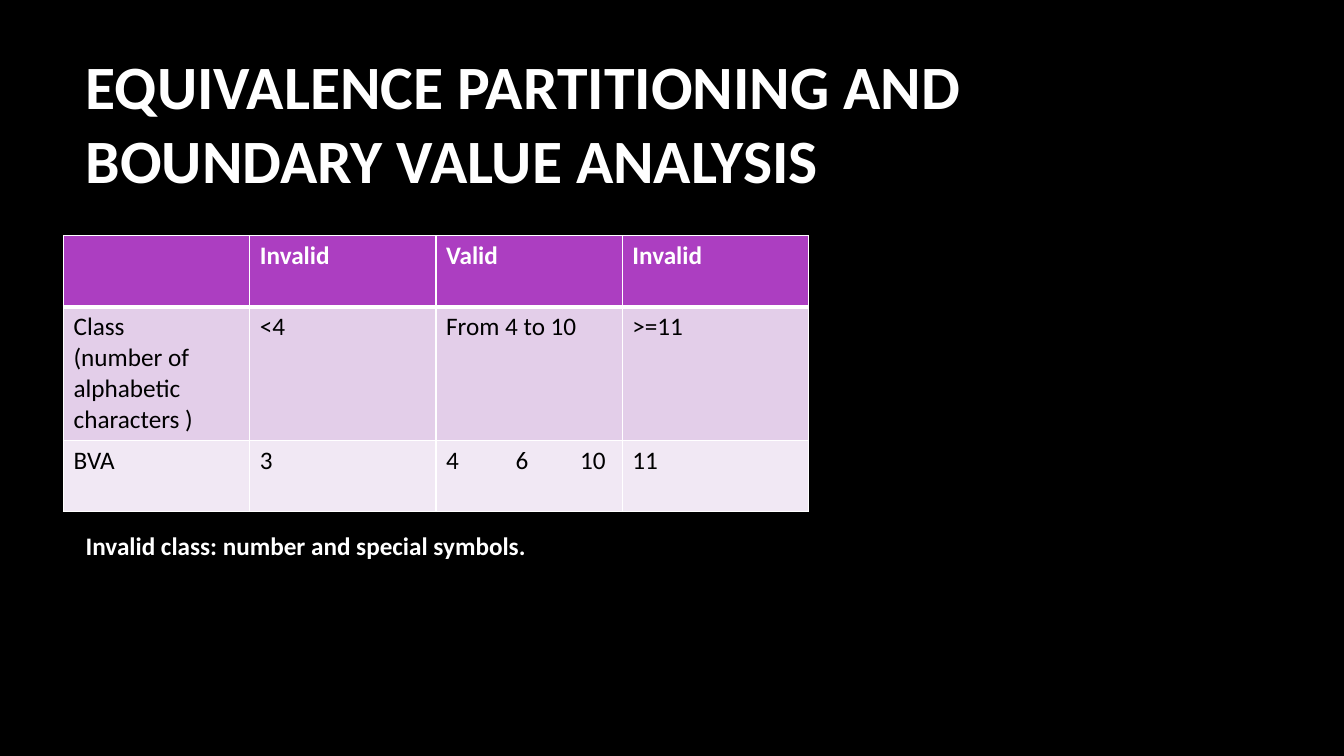
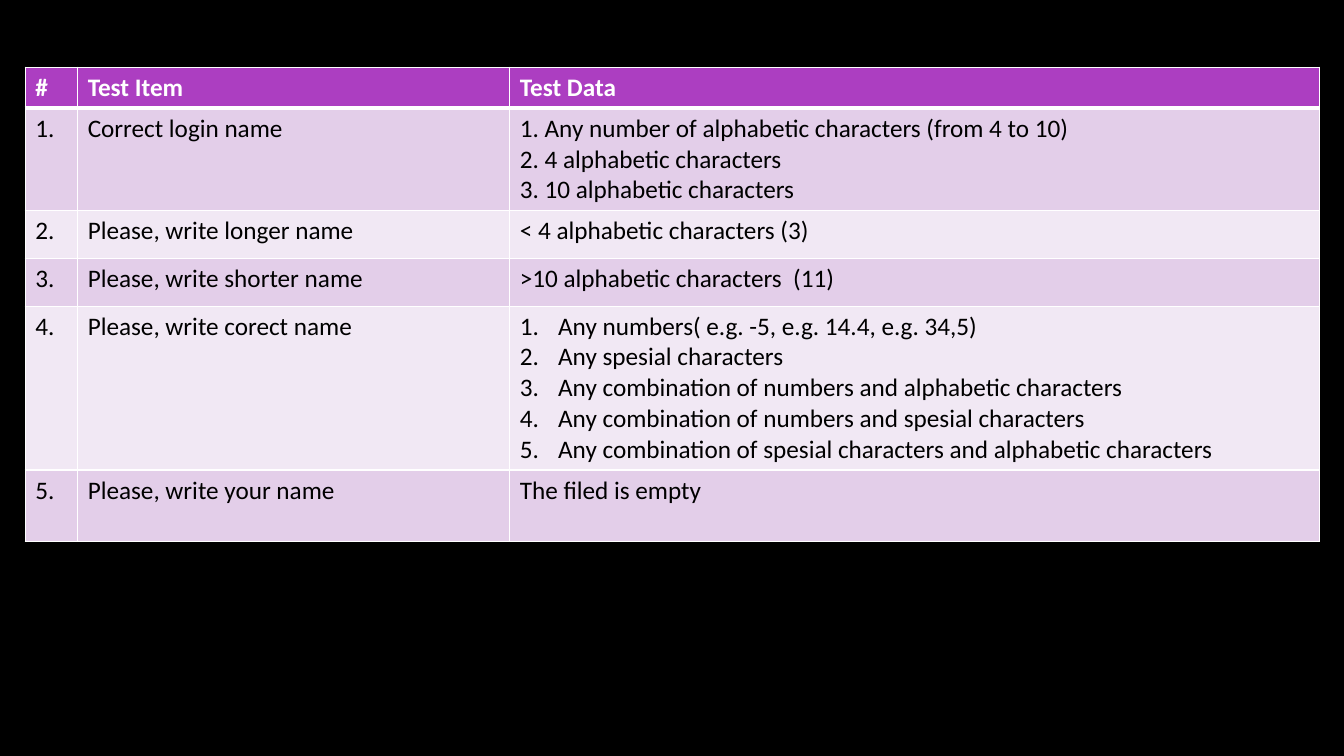
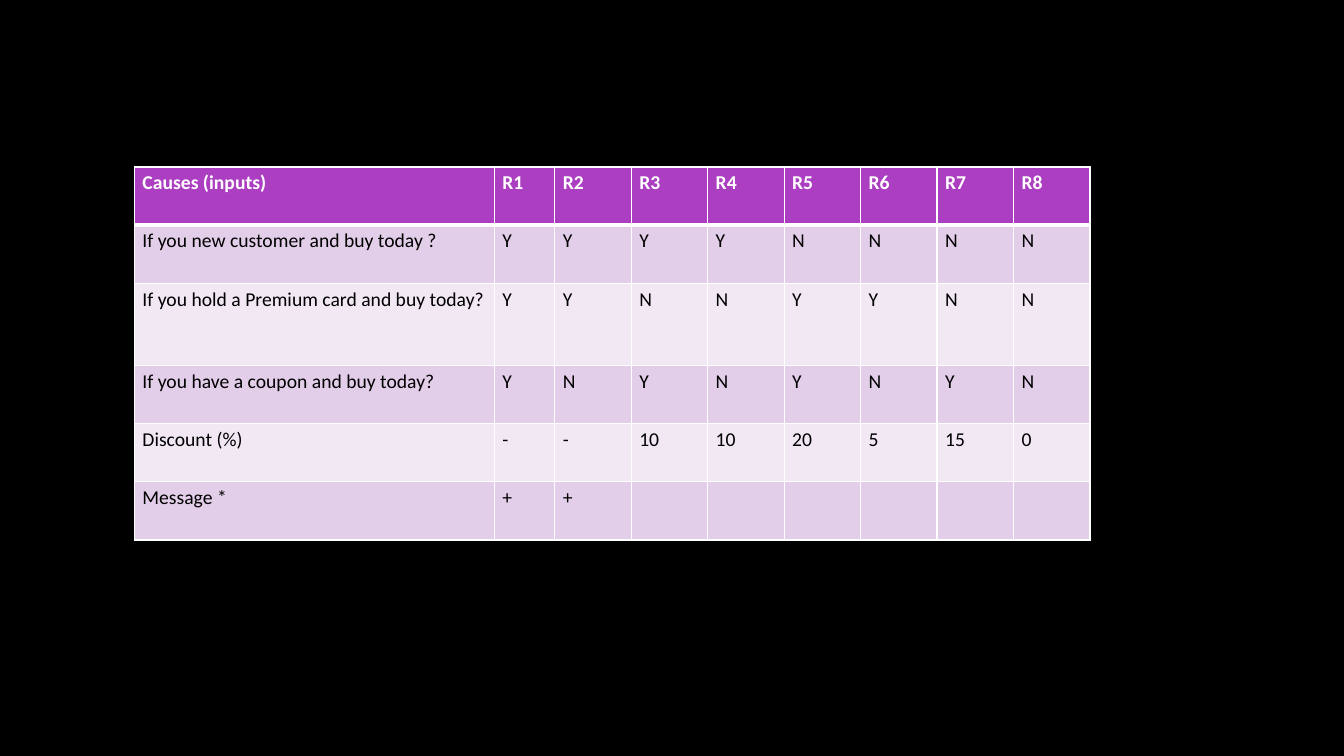
from dataclasses import dataclass

from lxml.etree import SubElement
from pptx import Presentation as new_presentation
from pptx.dml.color import RGBColor as Color
from pptx.enum.text import MSO_ANCHOR as Anchor, MSO_AUTO_SIZE as AutoSize, PP_ALIGN as Align
from pptx.oxml.ns import qn
from pptx.slide import Slide
from pptx.util import Emu, Inches, Pt


@dataclass(frozen=True)
class Theme:
    font: str = "Calibri"
    background: str = "000000"
    light: str = "FFFFFF"
    dark: str = "000000"
    header: str = "AC3EC1"
    bands: tuple[str, str] = ("E3CEE9", "F1E8F4")
    title_size: int = 44
    text_size: int = 18
    compact_size: int = 14
    rule: int = 1
    header_rule: int = 3


@dataclass(frozen=True)
class Numbered:
    """Automatically numbered cell lines; indent in inches."""
    items: tuple[str, ...]
    indent: float = 0.38


@dataclass(frozen=True)
class Tabbed:
    """Values spread over one cell line; stops in inches."""
    items: tuple[str, ...]
    stops: tuple[float, ...]


Content = str | Numbered | Tabbed


@dataclass(frozen=True)
class TableSpec:
    """Place, columns and rows are percentages of the slide's size."""
    left: float
    top: float
    columns: tuple[float, ...]
    rows: tuple[float, ...]
    cells: tuple[tuple[Content, ...], ...]
    size: int
    inset: tuple[float, float] = (0.1, 0.05)


THEME = Theme()
WIDTH, HEIGHT = Inches(13.33), Inches(7.5)
TITLE_LAYOUT, BLANK_LAYOUT = 5, 6

PARTITIONS = TableSpec(
    left=4.73, top=31.2, columns=(13.86,) * 4, rows=(9.4, 17.66, 9.4), size=THEME.text_size,
    cells=(
        ("", "Invalid", "Valid", "Invalid"),
        ("Class\n(number of alphabetic characters )", "<4", "From 4 to 10", ">=11"),
        ("BVA", "3", Tabbed(("4", "6", "10"), (0.69, 1.33)), "11"),
    ),
)

TEST_ITEMS = TableSpec(
    left=1.88, top=8.9, columns=(3.9, 32.15, 60.22),
    rows=(5.42, 13.49, 6.35, 6.35, 21.69, 9.5), size=THEME.text_size,
    cells=(
        ("#", "Test Item", "Test Data"),
        ("1.", "Correct login name",
         "1. Any number of alphabetic characters (from 4 to 10)\n"
         "2. 4 alphabetic characters\n3. 10 alphabetic characters"),
        ("2.", "Please, write longer name", "< 4 alphabetic characters (3)"),
        ("3.", "Please, write shorter name", ">10 alphabetic characters  (11)"),
        ("4.", "Please, write corect name", Numbered((
            "Any numbers( e.g. -5, e.g. 14.4, e.g. 34,5)",
            "Any spesial characters",
            "Any combination of numbers and alphabetic characters",
            "Any combination of numbers and spesial characters",
            "Any combination of spesial characters and alphabetic characters",
        ))),
        ("5.", "Please, write your name", "The filed is empty"),
    ),
)

DECISIONS = TableSpec(
    left=10, top=22.1, columns=(26.78, 4.5) + (5.69,) * 7,
    rows=(7.7, 7.7, 10.85, 7.7, 7.7, 7.7), size=THEME.compact_size, inset=(0.08, 0.04),
    cells=(
        ("Causes (inputs)", *(f"R{number}" for number in range(1, 9))),
        ("If you new customer and buy today ?", *"YYYYNNNN"),
        ("If you hold a Premium card and buy today?", *"YYNNYYNN"),
        ("If you have a coupon and buy today?", *"YNYNYNYN"),
        ("Discount (%)", "-", "-", "10", "10", "20", "5", "15", "0"),
        ("Message *", "+", "+", *[""] * 6),
    ),
)


def across(percent: float) -> Emu:
    return Emu(round(WIDTH * percent / 100))


def down(percent: float) -> Emu:
    return Emu(round(HEIGHT * percent / 100))


def format_text(paragraph, size: int, color: str, bold: bool) -> None:
    values = {"name": THEME.font, "size": Pt(size), "bold": bold}
    for run in paragraph.runs:
        for name, value in values.items():
            setattr(run.font, name, value)
        run.font.color.rgb = Color.from_string(color)


def number_paragraph(paragraph, indent: float) -> None:
    properties = paragraph._p.get_or_add_pPr()
    properties.set("marL", str(Inches(indent)))
    properties.set("indent", str(-Inches(indent)))
    SubElement(properties, qn("a:buFont"), typeface="+mj-lt")
    SubElement(properties, qn("a:buAutoNum"), type="arabicPeriod")


def set_tab_stops(paragraph, stops: tuple[float, ...]) -> None:
    tabs = SubElement(paragraph._p.get_or_add_pPr(), qn("a:tabLst"))
    for stop in stops:
        SubElement(tabs, qn("a:tab"), pos=str(Inches(stop)), algn="l")


def add_borders(cell, top: int, bottom: int) -> None:
    """Cell lines come before the fill in the cell's properties."""
    properties = cell._tc.get_or_add_tcPr()
    widths = {"L": THEME.rule, "R": THEME.rule, "T": top, "B": bottom}
    for position, (side, width) in enumerate(widths.items()):
        line = SubElement(properties, qn(f"a:ln{side}"), w=str(Pt(width)))
        fill = SubElement(line, qn("a:solidFill"))
        SubElement(fill, qn("a:srgbClr"), val=THEME.light)
        properties.insert(position, line)


def fill_cell(cell, content: Content, row: int, spec: TableSpec) -> None:
    is_header = row == 0
    horizontal, vertical = map(Inches, spec.inset)
    values = {"margin_left": horizontal, "margin_right": horizontal,
              "margin_top": vertical, "margin_bottom": vertical}
    for name, value in values.items():
        setattr(cell, name, value)
    cell.fill.solid()
    cell.fill.fore_color.rgb = Color.from_string(
        THEME.header if is_header else THEME.bands[(row - 1) % 2])
    add_borders(cell,
                top=THEME.header_rule if row == 1 else THEME.rule,
                bottom=THEME.header_rule if is_header else THEME.rule)

    match content:
        case Numbered(items=items):
            cell.text = "\n".join(items)
        case Tabbed(items=items):
            cell.text = "\t".join(items)
        case _:
            cell.text = content
    for paragraph in cell.text_frame.paragraphs:
        format_text(paragraph, spec.size, THEME.light if is_header else THEME.dark, is_header)
        if isinstance(content, Numbered):
            number_paragraph(paragraph, content.indent)
        elif isinstance(content, Tabbed):
            set_tab_stops(paragraph, content.stops)


def draw_table(slide: Slide, spec: TableSpec) -> None:
    table = slide.shapes.add_table(
        len(spec.rows), len(spec.columns), across(spec.left), down(spec.top),
        across(sum(spec.columns)), down(sum(spec.rows))).table
    table.first_row = table.horz_banding = False
    for column, width in zip(table.columns, spec.columns):
        column.width = across(width)
    for row, height in zip(table.rows, spec.rows):
        row.height = down(height)
    for row, contents in enumerate(spec.cells):
        for column, content in enumerate(contents):
            fill_cell(table.cell(row, column), content, row, spec)


def draw_title(slide: Slide, text: str) -> None:
    title = slide.shapes.title
    values = {"left": across(5.63), "top": down(8.93), "width": across(83.1), "height": down(14.27)}
    for name, value in values.items():
        setattr(title, name, value)
    frame = title.text_frame
    frame.text = text
    frame.auto_size = AutoSize.NONE
    frame.vertical_anchor = Anchor.MIDDLE
    frame.paragraphs[0].alignment = Align.LEFT
    format_text(frame.paragraphs[0], THEME.title_size, THEME.light, True)


def draw_note(slide: Slide, text: str) -> None:
    note = slide.shapes.add_textbox(across(5.63), down(69.47), across(34.5), down(5.33))
    frame = note.text_frame
    frame.text = text
    frame.word_wrap = False
    format_text(frame.paragraphs[0], THEME.text_size, THEME.light, True)


def main() -> None:
    presentation = new_presentation()
    presentation.slide_width, presentation.slide_height = WIDTH, HEIGHT

    # Shared background
    background = presentation.slide_master.background.fill
    background.solid()
    background.fore_color.rgb = Color.from_string(THEME.background)

    # One table on each slide
    layouts = presentation.slide_layouts
    for layout, spec in ((TITLE_LAYOUT, PARTITIONS), (BLANK_LAYOUT, TEST_ITEMS),
                         (BLANK_LAYOUT, DECISIONS)):
        draw_table(presentation.slides.add_slide(layouts[layout]), spec)

    # Title and note of the first slide
    opening = presentation.slides[0]
    draw_title(opening, "EQUIVALENCE PARTITIONING AND BOUNDARY VALUE ANALYSIS")
    draw_note(opening, "Invalid class: number and special symbols.")

    presentation.save("out.pptx")


if __name__ == "__main__":
    main()
